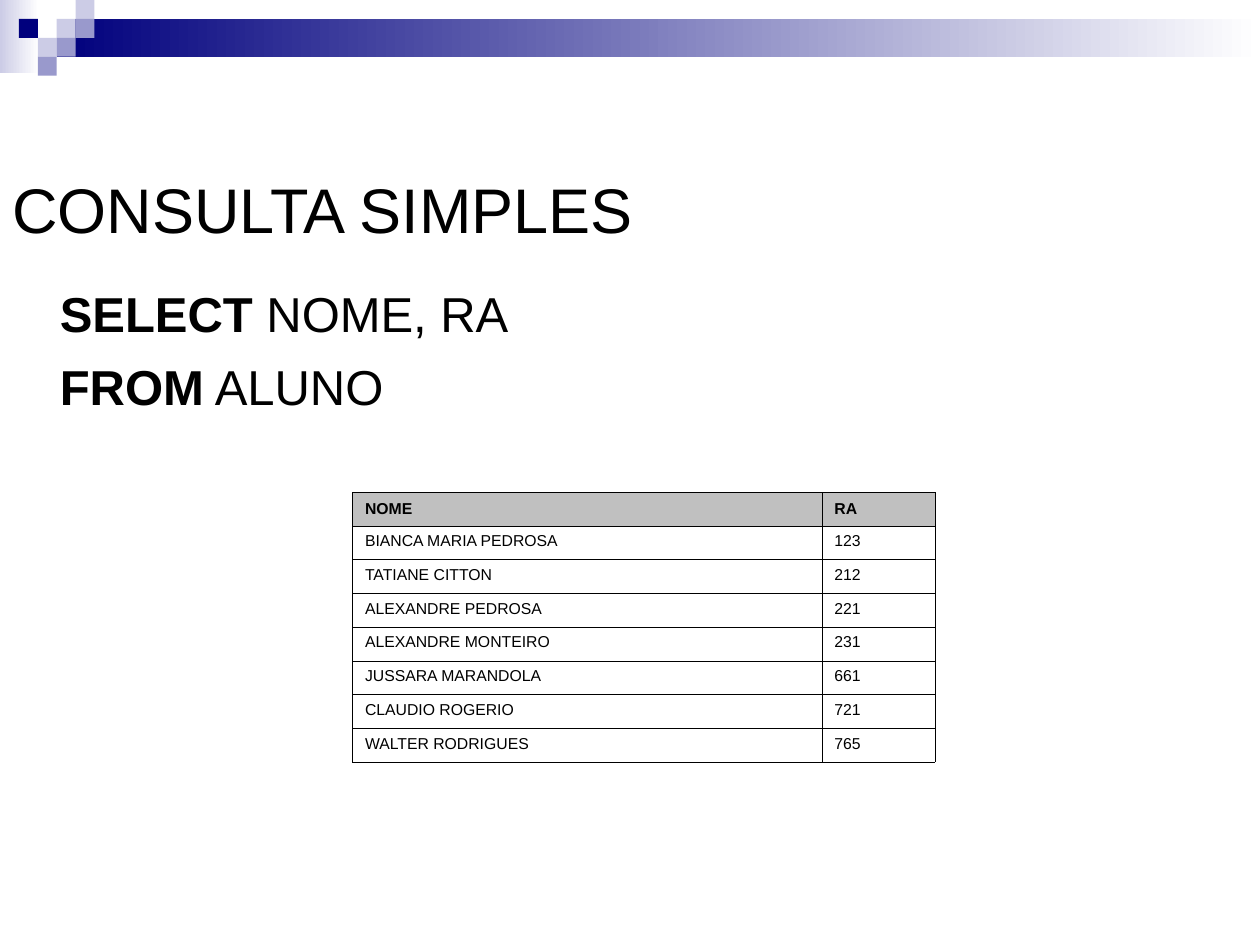
from lxml.etree import SubElement
from pptx import Presentation
from pptx.dml.color import RGBColor
from pptx.enum.shapes import MSO_SHAPE as Shape
from pptx.enum.text import MSO_ANCHOR as Anchor
from pptx.oxml.ns import qn
from pptx.util import Pt

FONT = "Arial"
BLACK, WHITE, GREY = "000000", "FFFFFF", "C0C0C0"
NAVY, LILAC, PALE = "00007D", "9999CC", "CCCCE6"

STUDENTS = [
    ("NOME", "RA"),
    ("BIANCA MARIA PEDROSA", "123"),
    ("TATIANE CITTON", "212"),
    ("ALEXANDRE PEDROSA", "221"),
    ("ALEXANDRE MONTEIRO", "231"),
    ("JUSSARA MARANDOLA", "661"),
    ("CLAUDIO ROGERIO", "721"),
    ("WALTER RODRIGUES", "765"),
]
# Column, row and colour of each square in the corner mosaic
MOSAIC = [
    (3, 1, PALE), (4, 0, PALE), (4, 1, LILAC), (2, 2, PALE),
    (1, 1, NAVY), (3, 2, LILAC), (2, 3, LILAC),
]


def color(hex_string):
    return RGBColor.from_string(hex_string)


def style(paragraph, size, bold=None):
    font = paragraph.font
    font.name, font.size, font.bold = FONT, Pt(size), bold
    font.color.rgb = color(BLACK)


def add_rectangle(slide, left, top, width, height, *colors):
    """One colour gives a solid fill, two a left-to-right gradient."""
    shape = slide.shapes.add_shape(
        Shape.RECTANGLE, Pt(left), Pt(top), Pt(width), Pt(height))
    shape.shadow.inherit = False
    shape.line.fill.background()
    if len(colors) == 1:
        shape.fill.solid()
        shape.fill.fore_color.rgb = color(colors[0])
        return
    shape.fill.gradient()
    shape.fill.gradient_angle = 0
    for stop, position, hex_string in zip(shape.fill.gradient_stops, (0, 1), colors):
        stop.position = position
        stop.color.rgb = color(hex_string)


def add_header(slide, left, top, width, unit):
    add_rectangle(slide, left, top, 22.3, 41.8, PALE, WHITE)
    add_rectangle(slide, left + 3 * unit, top + unit, width - 3 * unit, 2 * unit,
                  NAVY, WHITE)
    for column, row, hex_string in MOSAIC:
        add_rectangle(slide, left + column * unit, top + row * unit, unit, unit,
                      hex_string)


def add_text_frame(slide, left, top, width, height):
    box = slide.shapes.add_textbox(Pt(left), Pt(top), Pt(width), Pt(height))
    box.text_frame.word_wrap = True
    return box.text_frame


def add_title(slide, left, top, width, height):
    frame = add_text_frame(slide, left, top, width, height)
    frame.vertical_anchor = Anchor.BOTTOM
    frame.text = "CONSULTA SIMPLES"
    style(frame.paragraphs[0], 36)


def add_query(slide, left, top, width, height):
    frame = add_text_frame(slide, left, top, width, height)
    frame.margin_left, frame.margin_top = Pt(34.2), Pt(6)
    clauses = [("SELECT", " NOME, RA"), ("FROM", " ALUNO")]
    for index, (keyword, operands) in enumerate(clauses):
        paragraph = frame.add_paragraph() if index else frame.paragraphs[0]
        paragraph.space_before = Pt(8 if index else 0)
        style(paragraph, 28)
        run = paragraph.add_run()
        run.text, run.font.bold = keyword, True
        paragraph.add_run().text = operands


def add_borders(cell, width):
    properties = cell._tc.get_or_add_tcPr()
    for index, side in enumerate(("lnL", "lnR", "lnT", "lnB")):
        line = SubElement(properties, qn(f"a:{side}"), w=str(Pt(width)))
        properties.insert(index, line)
        SubElement(SubElement(line, qn("a:solidFill")), qn("a:srgbClr"), val=BLACK)


def add_result_table(slide, left, top, width, height):
    table = slide.shapes.add_table(
        len(STUDENTS), 2, Pt(left), Pt(top), Pt(width), Pt(height)).table
    number_width = 64.8
    table.columns[0].width = Pt(width - number_width)
    table.columns[1].width = Pt(number_width)
    for row_index, values in enumerate(STUDENTS):
        header = row_index == 0
        for column_index, value in enumerate(values):
            cell = table.cell(row_index, column_index)
            cell.text = value
            cell.vertical_anchor = Anchor.MIDDLE if header else Anchor.TOP
            cell.fill.solid()
            cell.fill.fore_color.rgb = color(GREY if header else WHITE)
            style(cell.text_frame.paragraphs[0], 9, header)
            add_borders(cell, 0.34)


def main():
    presentation = Presentation()
    presentation.slide_width, presentation.slide_height = Pt(720), Pt(540)
    slide = presentation.slides.add_slide(presentation.slide_layouts[6])
    add_header(slide, 0, 0, 720, 10.8)
    add_title(slide, 0, 36, 648, 108)
    add_query(slide, 0, 156.2, 648, 86.4)
    add_result_table(slide, 201.4, 281.3, 333, 154.4)
    presentation.save("out.pptx")


if __name__ == "__main__":
    main()
